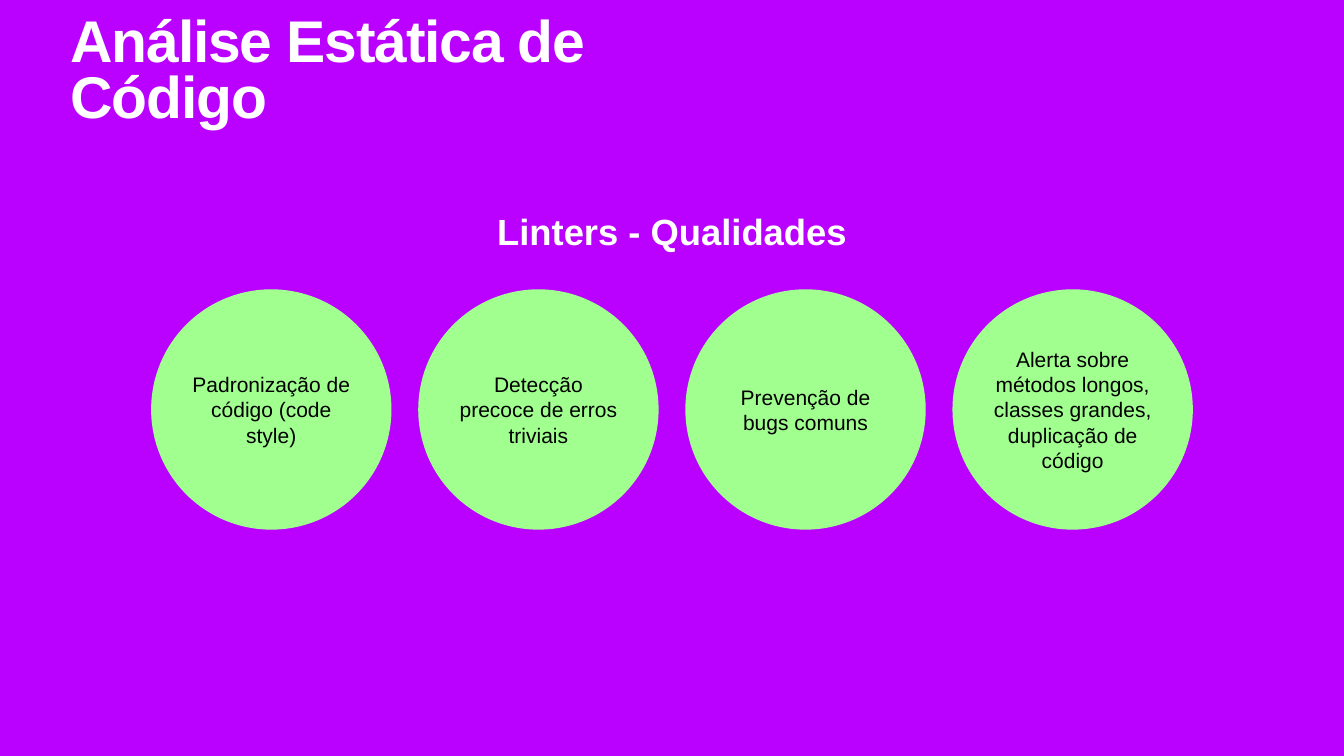
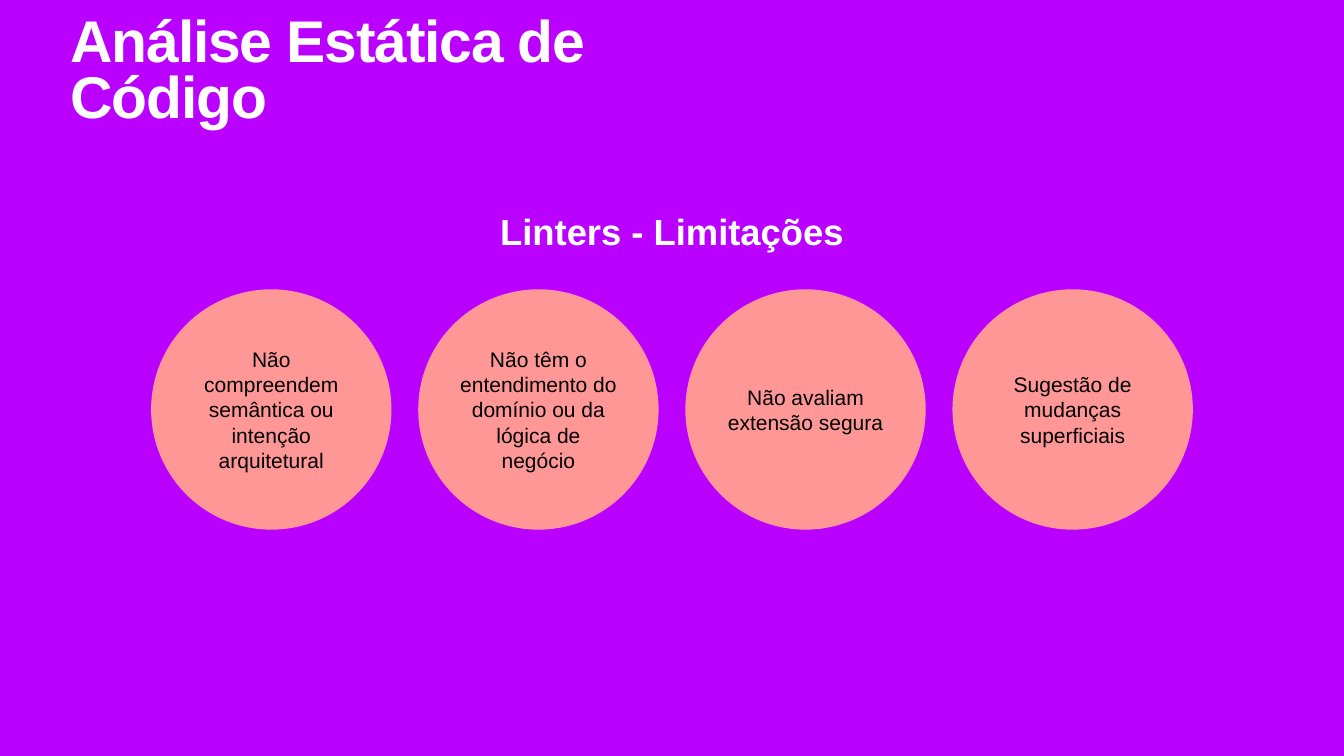
"""Build two slides on the strengths and limits of linters."""
from dataclasses import dataclass

from pptx import Presentation
from pptx.dml.color import RGBColor as RGB
from pptx.enum.shapes import MSO_SHAPE as Shape
from pptx.enum.text import MSO_ANCHOR as Anchor, MSO_AUTO_SIZE as Fit, PP_ALIGN as Align
from pptx.util import Pt

TITLE = "Análise Estática de Código"
SLIDES = [
    ("Linters - Qualidades", "green", [
        "Padronização de código (code style)",
        "Detecção precoce de erros triviais",
        "Prevenção de bugs comuns",
        "Alerta sobre métodos longos, classes grandes, duplicação de código",
    ]),
    ("Linters - Limitações", "red", [
        "Não compreendem semântica ou intenção arquitetural",
        "Não têm o entendimento do domínio ou da lógica de negócio",
        "Não avaliam extensão segura",
        "Sugestão de mudanças superficiais",
    ]),
]


@dataclass(frozen=True)
class Theme:
    font: str = "Arial"
    back: RGB = RGB.from_string("BA00FF")
    white: RGB = RGB.from_string("FFFFFF")
    black: RGB = RGB.from_string("000000")
    green: RGB = RGB.from_string("A1FF90")
    red: RGB = RGB.from_string("FF9797")
    title: int = 84
    head: int = 52
    body: int = 30


LOOK = Theme()
WIDE, HIGH = 1920, 1080
TITLE_BOX = (95, 49.7, 1030, 110.9)
HEAD_TOP, HEAD_WIDE, HEAD_HIGH = 293.8, 513, 73.4
DISC, GAP, DISC_TOP = 343.4, 38.2, 413.3
INSET = 6


def place(shape, left, top, wide, high):
    shape.left, shape.top, shape.width, shape.height = map(Pt, (left, top, wide, high))


def write(shape, text, size, color, bold=False, align=Align.CENTER):
    frame = shape.text_frame
    frame.text = text
    frame.word_wrap = True
    frame.auto_size = Fit.NONE
    frame.vertical_anchor = Anchor.MIDDLE
    frame.margin_left = frame.margin_right = Pt(INSET)
    frame.margin_top = frame.margin_bottom = Pt(INSET)
    para = frame.paragraphs[0]
    para.alignment = align
    font = para.font
    font.name, font.size, font.bold = LOOK.font, Pt(size), bold
    font.color.rgb = color
    return para


def add_title(slide):
    title = slide.shapes.title
    place(title, *TITLE_BOX)
    para = write(title, TITLE, LOOK.title, LOOK.white, True, Align.LEFT)
    para.line_spacing = 0.8
    para.runs[0]._r.get_or_add_rPr().set("spc", "-170")


def add_head(slide, text):
    left = (WIDE - HEAD_WIDE) / 2
    box = slide.shapes.add_textbox(*map(Pt, (left, HEAD_TOP, HEAD_WIDE, HEAD_HIGH)))
    write(box, text, LOOK.head, LOOK.white, True)


def add_discs(slide, texts, color):
    step = DISC + GAP
    start = (WIDE - len(texts) * step + GAP) / 2
    for i, text in enumerate(texts):
        spot = map(Pt, (start + i * step, DISC_TOP, DISC, DISC))
        disc = slide.shapes.add_shape(Shape.OVAL, *spot)
        disc.shadow.inherit = False
        disc.fill.solid()
        disc.fill.fore_color.rgb = color
        disc.line.fill.background()
        write(disc, text, LOOK.body, LOOK.black)


def main():
    deck = Presentation()
    deck.slide_width, deck.slide_height = Pt(WIDE), Pt(HIGH)
    fill = deck.slide_master.background.fill
    fill.solid()
    fill.fore_color.rgb = LOOK.back
    layout = deck.slide_layouts.get_by_name("Title Only")
    for head, hue, texts in SLIDES:
        slide = deck.slides.add_slide(layout)
        add_title(slide)
        add_head(slide, head)
        add_discs(slide, texts, getattr(LOOK, hue))
    deck.save("out.pptx")


if __name__ == "__main__":
    main()
